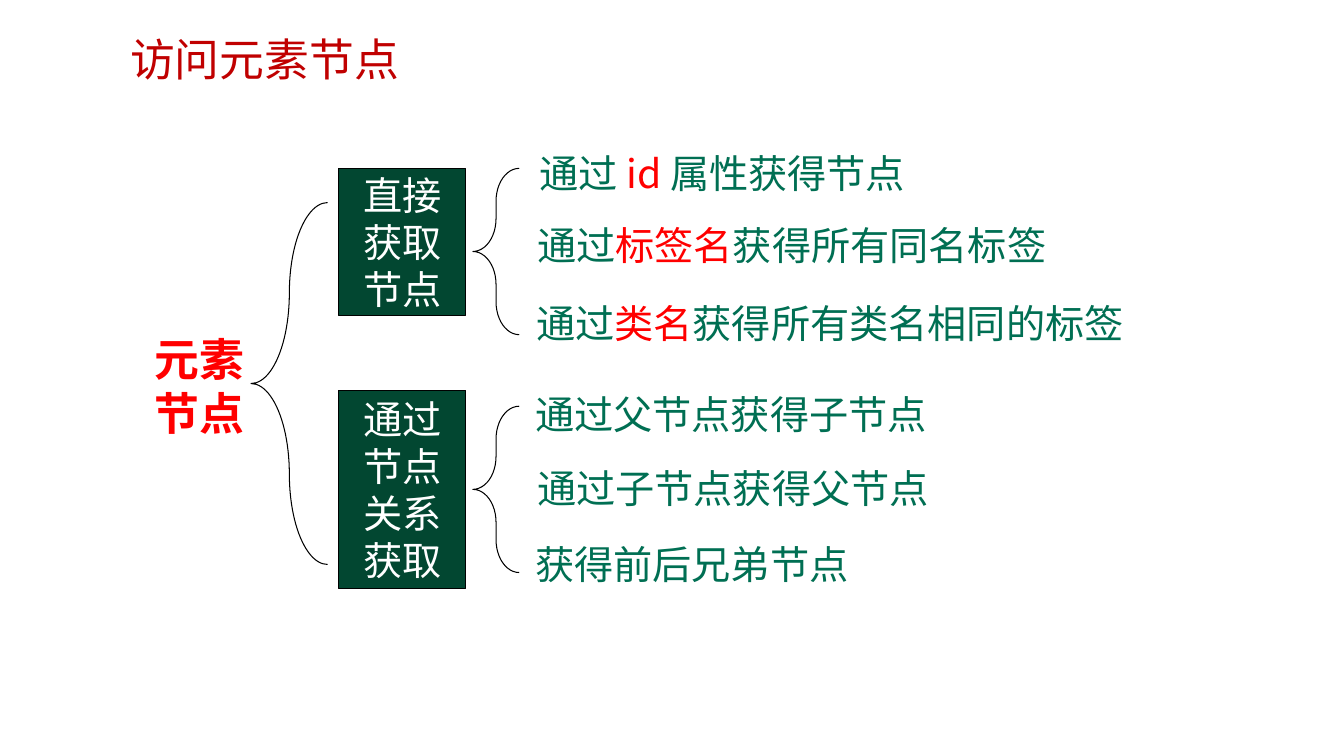
from dataclasses import dataclass

from pptx import Presentation
from pptx import util as u
from pptx.dml.color import RGBColor
from pptx.enum import shapes, text

COLORS = {"title": "C00000", "accent": "FF0000", "item": "006F53",
          "box": "024731", "line": "000000", "white": "FFFFFF"}
CJK, LATIN = "Noto Sans CJK SC", "Arial"
CELL = u.Inches(0.1)  # side of one square grid cell


@dataclass(frozen=True)
class Cell:
    """Area on the grid, in columns and rows."""
    col: float
    row: float
    cols: float
    rows: float

    def lengths(self) -> list[int]:
        """Return left, top, width and height."""
        return [round(n * CELL) for n in (self.col, self.row, self.cols, self.rows)]


@dataclass(frozen=True)
class Item:
    """One access method: position and (wording, colour) runs."""
    col: float
    row: float
    runs: tuple[tuple[str, str], ...]


@dataclass(frozen=True)
class Branch:
    """A labelled box, the brace beside it and its methods."""
    label: str
    box: Cell
    brace: Cell
    items: tuple[Item, ...]


def rgb(name: str) -> RGBColor:
    """Look up a named colour."""
    return RGBColor.from_string(COLORS[name])


def write(tf, runs, size: int, font: str, align=text.PP_ALIGN.LEFT, bold=False) -> None:
    """Fill a text frame with one paragraph of coloured runs."""
    tf.word_wrap = True
    p = tf.paragraphs[0]
    p.alignment = align
    p.font.size, p.font.name, p.font.bold = u.Pt(size), font, bold
    for words, color in runs:
        r = p.add_run()
        r.text = words
        r.font.color.rgb = rgb(color)


def add_text(slide, cell: Cell, runs, size: int, font: str, **style) -> None:
    """Add a text box that grows with its text."""
    tf = slide.shapes.add_textbox(*cell.lengths()).text_frame
    write(tf, runs, size, font, **style)
    tf.auto_size = text.MSO_AUTO_SIZE.SHAPE_TO_FIT_TEXT


def add_outlined(slide, kind, cell: Cell):
    """Add a preset shape with a thin black outline and no shadow."""
    sp = slide.shapes.add_shape(kind, *cell.lengths())
    sp.shadow.inherit = False
    sp.line.color.rgb = rgb("line")
    sp.line.width = u.Pt(0.75)
    return sp


def add_box(slide, cell: Cell, label: str) -> None:
    """Add a dark green box with a centred label."""
    sp = add_outlined(slide, shapes.MSO_SHAPE.RECTANGLE, cell)
    sp.fill.solid()
    sp.fill.fore_color.rgb = rgb("box")
    sp.text_frame.vertical_anchor = text.MSO_ANCHOR.MIDDLE
    write(sp.text_frame, [(label, "white")], 28, LATIN, text.PP_ALIGN.CENTER)


def add_brace(slide, cell: Cell, curve: float) -> None:
    """Add an unfilled left brace."""
    sp = add_outlined(slide, shapes.MSO_SHAPE.LEFT_BRACE, cell)
    sp.fill.background()
    sp.adjustments[0] = curve
    sp.adjustments[1] = 0.5


def add_branch(slide, branch: Branch) -> None:
    """Draw a box, its brace and its methods."""
    add_box(slide, branch.box, branch.label)
    add_brace(slide, branch.brace, 0.71)
    for item in branch.items:
        add_text(slide, Cell(item.col, item.row, 61, 5.7), item.runs, 28, CJK)


def add_title(slide, cell: Cell, words: str) -> None:
    """Place and format the title placeholder."""
    sp = slide.shapes.title
    sp.left, sp.top, sp.width, sp.height = cell.lengths()
    tf = sp.text_frame
    tf.auto_size = text.MSO_AUTO_SIZE.NONE
    tf.vertical_anchor = text.MSO_ANCHOR.TOP
    write(tf, [(words, "title")], 32, CJK)


BRANCHES = (
    Branch("直接获取节点", Cell(33.6, 16.7, 12.6, 14.6), Cell(46.9, 16.7, 4.6, 16.5), (
        Item(52.5, 14.3, (("通过 ", "item"), ("id ", "accent"), ("属性获得节点", "item"))),
        Item(52.3, 21.5, (("通过", "item"), ("标签名", "accent"),
                          ("获得所有同名标签", "item"))),
        Item(52.2, 29.2, (("通过", "item"), ("类名", "accent"),
                          ("获得所有类名相同的标签", "item"))),
    )),
    Branch("通过节点关系获取", Cell(33.6, 38.7, 12.6, 19.7), Cell(46.9, 40.3, 4.6, 16.5), (
        Item(52.1, 38.2, (("通过父节点获得子节点", "item"),)),
        Item(52.3, 45.6, (("通过子节点获得父节点", "item"),)),
        Item(52.1, 53.1, (("获得前后兄弟节点", "item"),)),
    )),
)

prs = Presentation()
prs.slide_width, prs.slide_height = u.Inches(13.33), u.Inches(7.5)
slide = prs.slides.add_slide(prs.slide_layouts.get_by_name("Title Only"))

add_title(slide, Cell(11.9, 2.6, 89.6, 5.4), "访问元素节点")
for branch in BRANCHES:
    add_branch(slide, branch)
add_brace(slide, Cell(24.9, 20.1, 7.6, 35.9), 1.26)
add_text(slide, Cell(13, 32.4, 13.5, 11.8), [("元素节点", "accent")], 32, LATIN,
         align=text.PP_ALIGN.CENTER, bold=True)

prs.save("out.pptx")
